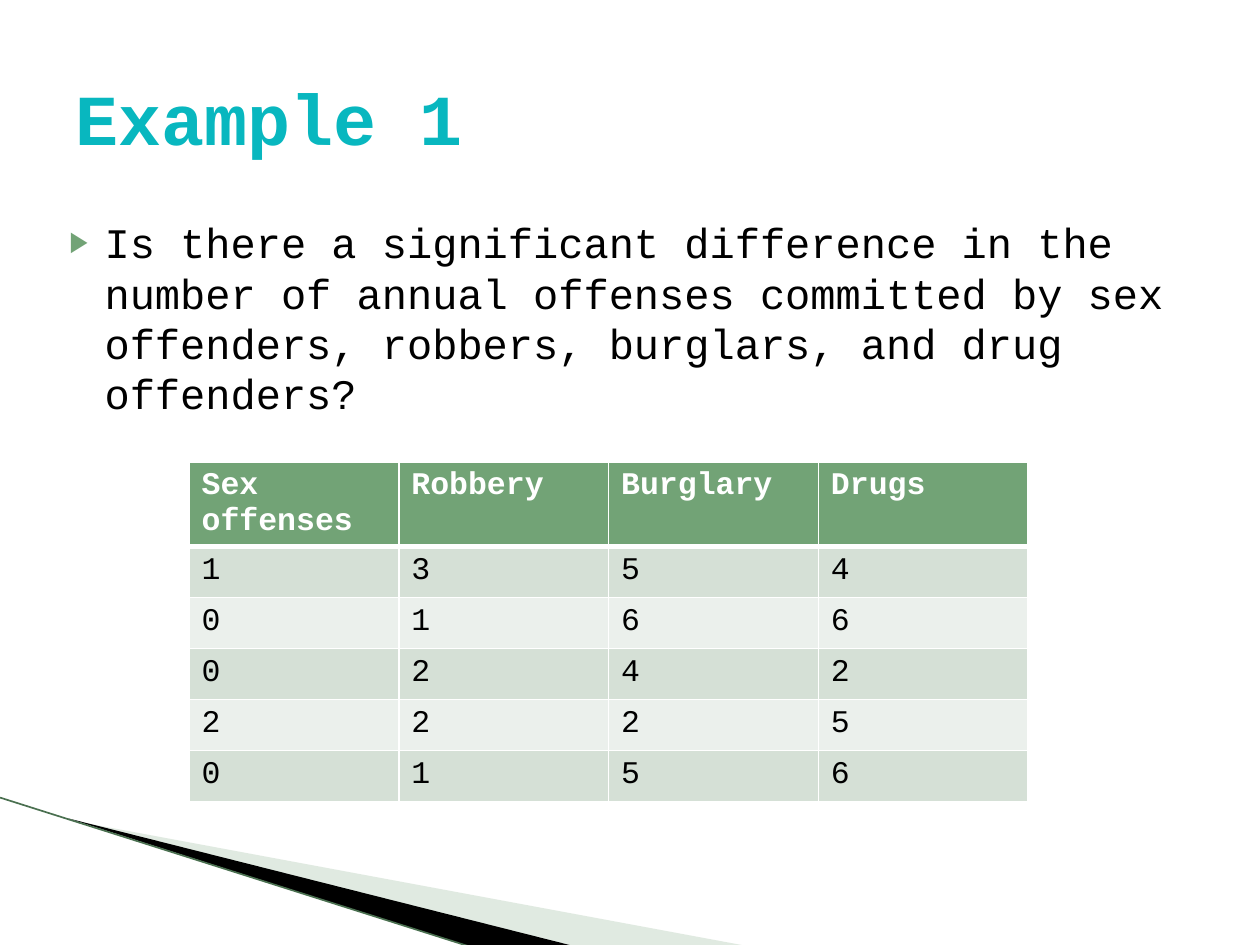
from lxml.etree import SubElement
from pptx import Presentation
from pptx.dml.color import RGBColor
from pptx.enum.shapes import MSO_CONNECTOR
from pptx.enum.text import MSO_ANCHOR, MSO_AUTO_SIZE, PP_ALIGN
from pptx.oxml.ns import qn
from pptx.util import Inches, Pt

FONT = "Courier New"
TEAL = RGBColor(0x08, 0xB7, 0xBF)
GREEN = RGBColor(0x72, 0xA3, 0x76)
BAND_DARK = RGBColor(0xD5, 0xE0, 0xD6)
BAND_LIGHT = RGBColor(0xEB, 0xF0, 0xEC)
WEDGE_GREEN = RGBColor(0xB3, 0xCB, 0xB5)
EDGE_GREEN = RGBColor(0x4A, 0x70, 0x50)
BLACK = RGBColor(0, 0, 0)
WHITE = RGBColor(0xFF, 0xFF, 0xFF)

QUESTION = (
    "Is there a significant difference in the number of annual offenses "
    "committed by sex offenders, robbers, burglars, and drug offenders?"
)
OFFENSES = [
    ["Sex offenses", "Robbery", "Burglary", "Drugs"],
    [1, 3, 5, 4],
    [0, 1, 6, 6],
    [0, 2, 4, 2],
    [2, 2, 2, 5],
    [0, 1, 5, 6],
]


def style_paragraph(paragraph, size, color, bold=False):
    """Set the font of a whole paragraph."""
    font = paragraph.font
    font.name, font.size, font.bold = FONT, Pt(size), bold
    font.color.rgb = color


def place(shape, box):
    """Move a shape to a box of left, top, width and height in inches."""
    shape.left, shape.top, shape.width, shape.height = map(Inches, box)


def add_wedge(slide, points, color, opacity=100):
    """Draw one filled corner wedge through the given points."""
    builder = slide.shapes.build_freeform(*points[0])
    builder.add_line_segments(points[1:], close=True)
    wedge = builder.convert_to_shape()
    wedge.shadow.inherit = False
    wedge.line.fill.background()
    wedge.fill.solid()
    wedge.fill.fore_color.rgb = color
    if opacity < 100:
        fill_color = wedge.element.spPr.find(qn("a:solidFill"))[0]
        SubElement(fill_color, qn("a:alpha"), val=str(opacity * 1000))


def add_corner(slide, box):
    """Draw the wedges and the thin edge in the lower left corner."""
    left, top, width, height = box

    def at(x, y):
        return Inches(left + x * width), Inches(top + y * height)

    pale = [at(0.09, 0.15), at(0.99, 1), at(0.76, 1)]
    dark = [at(0.09, 0.14), at(0.76, 1), at(0.62, 1)]
    add_wedge(slide, pale, WEDGE_GREEN, opacity=40)
    add_wedge(slide, dark, BLACK)
    edge = slide.shapes.add_connector(MSO_CONNECTOR.STRAIGHT, *at(0, 0), *at(0.62, 1))
    edge.line.color.rgb = EDGE_GREEN
    edge.line.width = Pt(0.95)
    SubElement(edge.element.spPr, qn("a:effectLst"))


def fill_title(title, box):
    """Write the heading in the title placeholder."""
    place(title, box)
    frame = title.text_frame
    frame.text = "Example 1"
    frame.auto_size = MSO_AUTO_SIZE.NONE
    frame.vertical_anchor = MSO_ANCHOR.MIDDLE
    paragraph = frame.paragraphs[0]
    paragraph.alignment = PP_ALIGN.LEFT
    style_paragraph(paragraph, 41, TEAL, bold=True)


def fill_body(body, box):
    """Write the bulleted question in the body placeholder."""
    place(body, box)
    frame = body.text_frame
    frame.text = QUESTION
    frame.auto_size = MSO_AUTO_SIZE.NONE
    paragraph = frame.paragraphs[0]
    paragraph.space_before = Pt(4)
    style_paragraph(paragraph, 24, BLACK)
    properties = paragraph._p.get_or_add_pPr()
    properties.set("marL", str(Inches(0.4)))
    properties.set("indent", str(Inches(-0.28)))
    bullet = {
        "buClr": {},
        "buSzPct": {"val": "68000"},
        "buFont": {"typeface": "Arial"},
        "buChar": {"char": "▶"},
    }
    position = properties.index(properties.find(qn("a:defRPr")))
    for offset, (tag, attributes) in enumerate(bullet.items()):
        item = SubElement(properties, qn(f"a:{tag}"), attributes)
        if tag == "buClr":
            SubElement(item, qn("a:srgbClr"), val=str(GREEN))
        properties.insert(position + offset, item)


def style_cell(cell, row):
    """Give a cell its band fill, font and white borders."""
    header = row == 0
    color = GREEN if header else BAND_DARK if row % 2 else BAND_LIGHT
    style_paragraph(cell.text_frame.paragraphs[0], 18, WHITE if header else BLACK, header)
    properties = cell._tc.get_or_add_tcPr()
    for side in "LRTB":
        thick = (header and side == "B") or (row == 1 and side == "T")
        border = SubElement(properties, qn(f"a:ln{side}"), w=str(Pt(3 if thick else 1)))
        fill = SubElement(border, qn("a:solidFill"))
        SubElement(fill, qn("a:srgbClr"), val=str(WHITE))
    cell.fill.solid()
    cell.fill.fore_color.rgb = color


def add_offense_table(slide, box):
    """Add the table of annual offenses with equal columns and rows."""
    size = len(OFFENSES), len(OFFENSES[0])
    table = slide.shapes.add_table(*size, *map(Inches, box)).table
    for row, values in enumerate(OFFENSES):
        for column, value in enumerate(values):
            cell = table.cell(row, column)
            cell.text = str(value)
            style_cell(cell, row)


def main():
    """Build the slide and save it."""
    presentation = Presentation()
    presentation.slide_width, presentation.slide_height = Inches(10), Inches(7.5)
    slide = presentation.slides.add_slide(presentation.slide_layouts[1])
    title, body = slide.placeholders
    add_corner(slide, (0, 6.33, 6, 1.18))
    for placeholder in (title, body):
        slide.shapes.element.append(placeholder.element)
    fill_title(title, (0.5, 0.3, 9, 1.25))
    fill_body(body, (0.33, 1.67, 9.3, 5))
    add_offense_table(slide, (1.5, 3.67, 6.66, 2.43))
    presentation.save("out.pptx")


if __name__ == "__main__":
    main()
